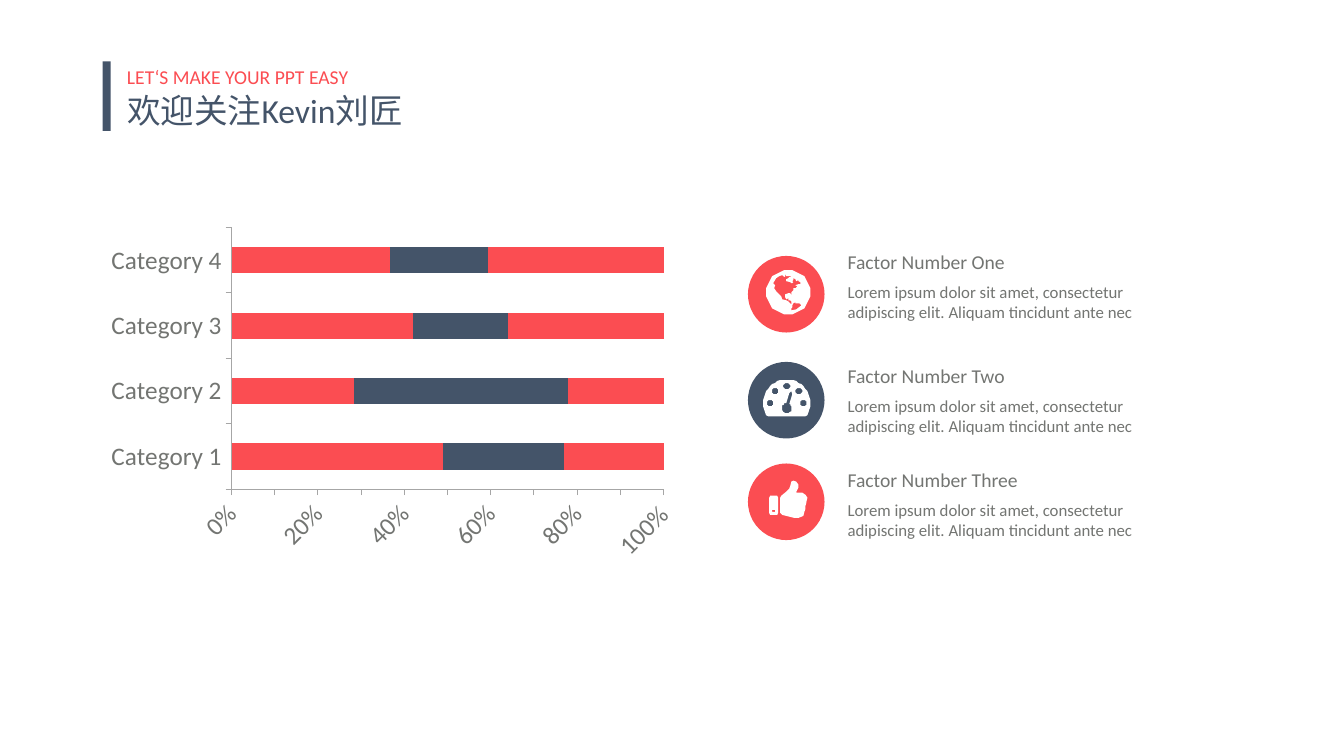
from math import cos, radians, sin

from pptx import Presentation
from pptx.chart.data import CategoryChartData
from pptx.dml.color import RGBColor
from pptx.enum.chart import XL_CHART_TYPE, XL_TICK_MARK
from pptx.enum.shapes import MSO_SHAPE
from pptx.enum.text import MSO_ANCHOR, MSO_AUTO_SIZE, PP_ALIGN
from pptx.util import Cm, Pt

BAR = XL_CHART_TYPE.BAR_STACKED_100
TICK = XL_TICK_MARK.OUTSIDE
RECT = MSO_SHAPE.RECTANGLE
OVAL = MSO_SHAPE.OVAL
TOP = MSO_ANCHOR.TOP
FIXED = MSO_AUTO_SIZE.NONE
LEFT = PP_ALIGN.LEFT

FONT = "Calibri"
RED, NAVY, GRAY, RULE, WHITE = "FB4D52", "445469", "737572", "A6A6A6", "FFFFFF"
LOREM = ("Lorem ipsum dolor sit amet, consectetur adipiscing elit. "
         "Aliquam tincidunt ante nec")
SERIES = [
    ("Series 1", (49, 28, 42, 37), RED),
    ("Series 2", (28, 49, 22, 23), NAVY),
    ("Series 3", (23, 22, 36, 41), RED),
]
GRID = 76


def arc(x, y, r, start=0, end=360):
    turns = [radians(start + (end - start) * i / 32) for i in range(33)]
    return [(x + r * cos(t), y + r * sin(t)) for t in turns]


NORTH = [
    (47, 29), (50, 28), (52, 28), (52, 26), (50, 25), (50, 24), (48, 25),
    (47, 23), (45, 22), (45, 24), (44, 25), (45, 26), (44, 27), (43, 27),
    (42, 26), (38, 25), (38, 23), (40, 22), (41, 21), (43, 21), (42, 20),
    (38, 20), (37, 18), (37, 21), (35, 20), (34, 19), (31, 20), (28, 22),
    (25, 27), (27, 29), (26, 32), (28, 35), (30, 37), (31, 40), (30, 37),
    (33, 40), (34, 43), (38, 44), (40, 45), (43, 48), (43, 45), (42, 44),
    (40, 44), (40, 42), (38, 43), (37, 41), (37, 38), (40, 37), (42, 37),
    (43, 39), (43, 36), (45, 34), (45, 32), (47, 32), (49, 30),
]
SOUTH = [
    (53, 49), (52, 48), (51, 47), (47, 47), (47, 46), (45, 47), (44, 49),
    (44, 51), (43, 52), (43, 54), (48, 53),
]
GLOBE = [arc(40, 36, 22), NORTH, SOUTH]

DOTS = [(22, 41), (27, 29), (38.5, 24), (50.5, 29), (55, 41)]
DOME = arc(38.5, 41, 23.5, 149, 391) + [(57, 54), (20, 54)]
HAND = [(44, 32), (43, 29), (41, 31)] + arc(38.5, 46, 5, 265, -60)
GAUGE = [DOME, HAND] + [arc(x, y, 3.3) for x, y in DOTS]

CUFF = [
    (22, 32), (29, 32), (30, 34), (30, 49), (29, 51), (22, 51), (21, 49),
    (21, 34),
]
FIST = [
    (58, 38), (58, 39), (57, 42), (57, 45), (56, 48), (55, 52), (50, 54),
    (46, 54), (38, 52), (34, 51), (32, 49), (32, 34), (33, 32), (38, 28),
    (41, 25), (42, 22), (43, 18), (45, 17), (48, 18), (50, 21), (50, 24),
    (48, 28), (48, 29), (54, 29), (57, 31), (59, 34),
]
THUMB = [CUFF, arc(25.5, 47, 1.5), FIST]

FACTORS = [
    ("Factor Number One", GLOBE, RED, 6.45, 6.17),
    ("Factor Number Two", GAUGE, NAVY, 9.12, 9.04),
    ("Factor Number Three", THUMB, RED, 11.68, 11.66),
]


def color(code):
    return RGBColor.from_string(code)


def paint(shape, code):
    shape.shadow.inherit = False
    shape.fill.solid()
    shape.fill.fore_color.rgb = color(code)
    shape.line.fill.background()


def block(slide, kind, box, code):
    paint(slide.shapes.add_shape(kind, *map(Cm, box)), code)


def style(font, size, code):
    font.name = FONT
    font.size = Pt(size)
    font.color.rgb = color(code)


def write(shape, text, size, code):
    frame = shape.text_frame
    frame.word_wrap = True
    frame.auto_size = FIXED
    frame.vertical_anchor = TOP
    frame.text = text
    para = frame.paragraphs[0]
    para.alignment = LEFT
    style(para.font, size, code)
    return para


def label(slide, box, text, size, code):
    write(slide.shapes.add_textbox(*map(Cm, box)), text, size, code)


def header(slide, x, y):
    block(slide, RECT, (x, y, 0.2, 1.75), NAVY)
    label(slide, (x + 0.36, y - 0.05, 12.17, 0.86),
          "LET‘S MAKE YOUR PPT EASY", 14, RED)
    title = slide.shapes.title
    title.left, title.top = Cm(x + 0.36), Cm(y + 0.79)
    title.width, title.height = Cm(19.48), Cm(1.07)
    para = write(title, "欢迎关注Kevin刘匠", 24, NAVY)
    para.line_spacing = 0.8


def bars(slide, box):
    data = CategoryChartData()
    data.categories = [f"Category {i}" for i in range(1, 5)]
    for name, values, _ in SERIES:
        data.add_series(name, values)
    chart = slide.shapes.add_chart(BAR, *map(Cm, box), data).chart
    chart.has_legend = False
    chart.has_title = False
    style(chart.font, 18, GRAY)
    plot = chart.plots[0]
    plot.gap_width = 150
    plot.overlap = 100
    plot.vary_by_categories = False
    for series, (_, _, code) in zip(plot.series, SERIES):
        series.format.fill.solid()
        series.format.fill.fore_color.rgb = color(code)
    for axis in (chart.category_axis, chart.value_axis):
        axis.has_major_gridlines = False
        axis.major_tick_mark = TICK
        axis.format.line.color.rgb = color(RULE)
        axis.format.line.width = Pt(0.75)
    marks = chart.value_axis.tick_labels
    marks.number_format = "0%"
    marks.number_format_is_linked = False


def icon(slide, x, y, size, loops):
    pen = slide.shapes.build_freeform(*loops[0][0], scale=Cm(size) / GRID)
    pen.add_line_segments(loops[0][1:])
    for loop in loops[1:]:
        pen.move_to(*loop[0])
        pen.add_line_segments(loop[1:])
    paint(pen.convert_to_shape(Cm(x), Cm(y)), WHITE)


def factor(slide, x, y, top, name, loops, code):
    size = 1.93
    block(slide, OVAL, (x, y, size, size), code)
    icon(slide, x, y, size, loops)
    label(slide, (x + 2.26, top, 8.81, 0.86), name, 14, GRAY)
    label(slide, (x + 2.26, top + 0.8, 8.69, 1.27), LOREM, 12, GRAY)


def main():
    deck = Presentation()
    deck.slide_width, deck.slide_height = Cm(33.87), Cm(19.05)
    slide = deck.slides.add_slide(deck.slide_layouts[5])
    header(slide, 2.59, 1.55)
    bars(slide, (2.51, 5.56, 14.78, 8.74))
    for name, loops, code, y, top in FACTORS:
        factor(slide, 18.85, y, top, name, loops, code)
    deck.save("out.pptx")


if __name__ == "__main__":
    main()
